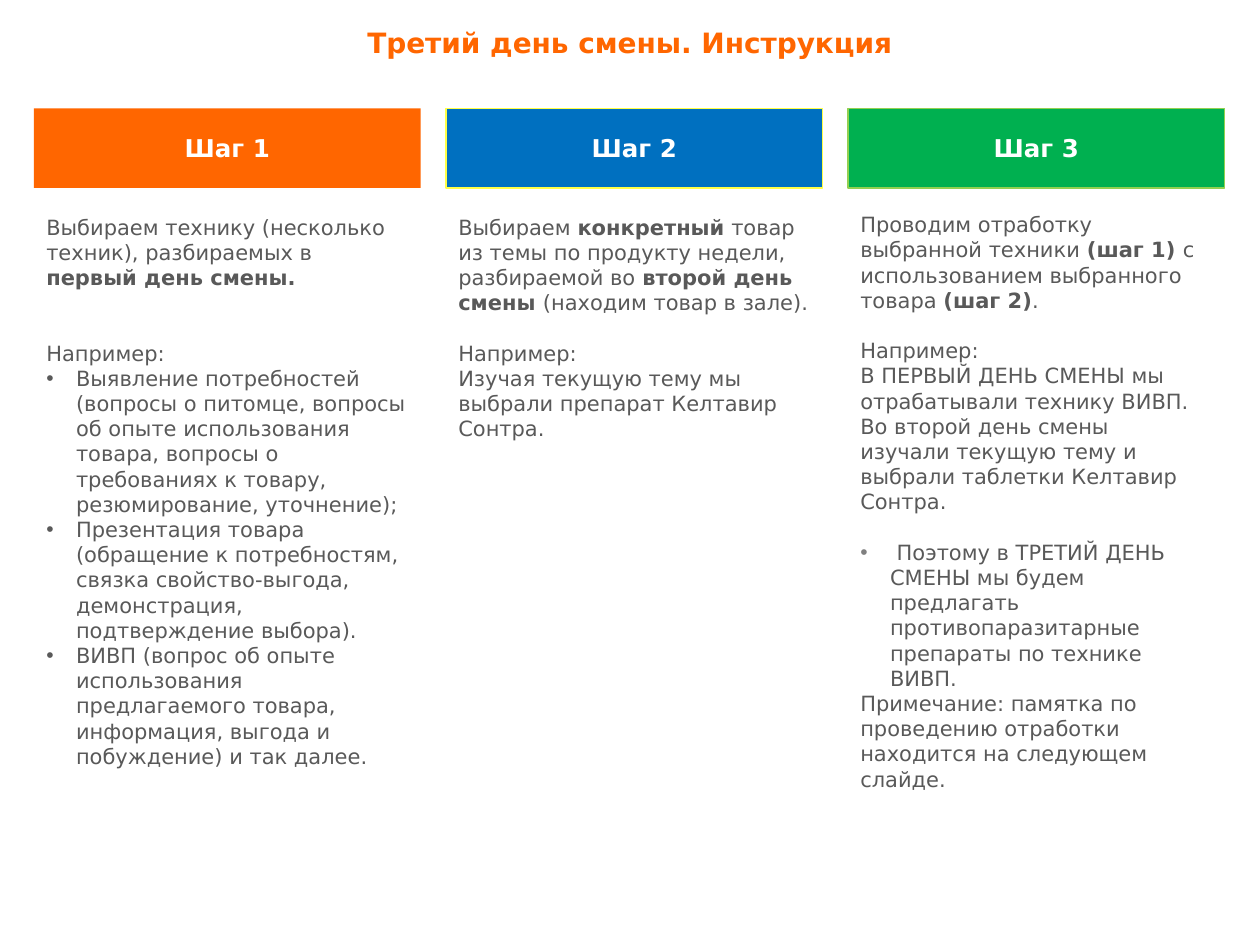
from lxml import etree
from pptx import Presentation, util as u
from pptx.dml.color import RGBColor
from pptx.enum import shapes, text
from pptx.oxml import ns

Pt = u.Pt
FONT = "DejaVu Sans"
HUES = {"orange": "FF6600", "blue": "0070C0", "green": "00B050",
        "yellow": "FFFF47", "lime": "92D050", "white": "FFFFFF",
        "dark": "595959", "grey": "808080"}
LINE = 14.4    # height of one line of body text
INDENT = 17    # hanging indent of a bullet


def style(run, size, hue, bold):
    font = run.font
    font.name, font.size, font.bold = FONT, Pt(size), bold
    font.color.rgb = RGBColor.from_string(HUES[hue])


def bullet(par, hue):
    props = par._p.get_or_add_pPr()
    props.set("marL", str(Pt(INDENT)))
    props.set("indent", str(-Pt(INDENT)))
    tint = etree.SubElement(props, ns.qn("a:buClr"))
    etree.SubElement(tint, ns.qn("a:srgbClr"), val=HUES[hue])
    etree.SubElement(props, ns.qn("a:buFont"), typeface="Arial")
    etree.SubElement(props, ns.qn("a:buChar"), char="•")


# Each step: width, fill, outline, body top, body width, body height, paragraphs
# Each paragraph: blank lines above, bullet colour, text with *bold* parts
steps = [
    (221, "orange", None, 118.8, 221, 357, [
        (0, None, "Выбираем технику (несколько техник), разбираемых в *первый день смены.*"),
        (2, None, "Например:"),
        (0, "dark", "Выявление потребностей (вопросы о питомце, вопросы об опыте "
                    "использования товара, вопросы о требованиях к товару, "
                    "резюмирование, уточнение);"),
        (0, "dark", "Презентация товара (обращение к потребностям, связка "
                    "свойство-выгода, демонстрация, подтверждение выбора)."),
        (0, "dark", "ВИВП (вопрос об опыте использования предлагаемого товара, "
                    "информация, выгода и побуждение) и так далее."),
    ]),
    (215.3, "blue", "yellow", 118.8, 215.3, 215.3, [
        (0, None, "Выбираем *конкретный* товар из темы по продукту недели, "
                  "разбираемой во *второй день смены *(находим товар в зале)."),
        (1, None, "Например:"),
        (0, None, "Изучая текущую тему мы выбрали препарат Келтавир Сонтра."),
    ]),
    (215.3, "green", "lime", 117.4, 209.5, 357, [
        (0, None, "Проводим отработку выбранной техники *(шаг 1) *с использованием "
                  "выбранного товара *(шаг 2)*."),
        (1, None, "Например:"),
        (0, None, "В ПЕРВЫЙ ДЕНЬ СМЕНЫ мы отрабатывали технику ВИВП. Во второй день "
                  "смены изучали текущую тему и выбрали таблетки Келтавир Сонтра."),
        (1, "grey", " Поэтому в ТРЕТИЙ ДЕНЬ СМЕНЫ мы будем предлагать "
                    "противопаразитарные препараты по технике ВИВП."),
        (0, None, "Примечание: памятка по проведению отработки находится на "
                  "следующем слайде."),
    ]),
]

deck = Presentation()
deck.slide_width, deck.slide_height = Pt(720), Pt(540)
slide = deck.slides.add_slide(deck.slide_layouts[6])

# Title
title = slide.shapes.add_textbox(0, Pt(10.8), Pt(720), Pt(26.6)).text_frame
title.word_wrap = True
title.text = "Третий день смены. Инструкция"
title.paragraphs[0].alignment = text.PP_ALIGN.CENTER
style(title.paragraphs[0].runs[0], 16, "orange", True)

# Columns
left = 19.4
for num, (width, fill, edge, top, wide, high, pars) in enumerate(steps, 1):
    # Step header
    head = slide.shapes.add_shape(shapes.MSO_SHAPE.RECTANGLE,
                                  Pt(left), Pt(62), Pt(width), Pt(45.4))
    head.shadow.inherit = False
    head.fill.solid()
    head.fill.fore_color.rgb = RGBColor.from_string(HUES[fill])
    if edge:
        head.line.color.rgb = RGBColor.from_string(HUES[edge])
        head.line.width = Pt(0.75)
    else:
        head.line.fill.background()
    frame = head.text_frame
    frame.vertical_anchor = text.MSO_ANCHOR.MIDDLE
    frame.text = f"Шаг {num}"
    frame.paragraphs[0].alignment = text.PP_ALIGN.CENTER
    style(frame.paragraphs[0].runs[0], 14, "white", True)

    # Step text
    body = slide.shapes.add_textbox(Pt(left), Pt(top), Pt(wide), Pt(high)).text_frame
    body.word_wrap = True
    for i, (gap, dot, words) in enumerate(pars):
        par = body.add_paragraph() if i else body.paragraphs[0]
        par.space_before = Pt(gap * LINE)
        if dot:
            bullet(par, dot)
        for j, part in enumerate(words.split("*")):
            if part:
                run = par.add_run()
                run.text = part
                style(run, 12, "dark", j % 2 == 1)
    left += width + 14.4

deck.save("out.pptx")
